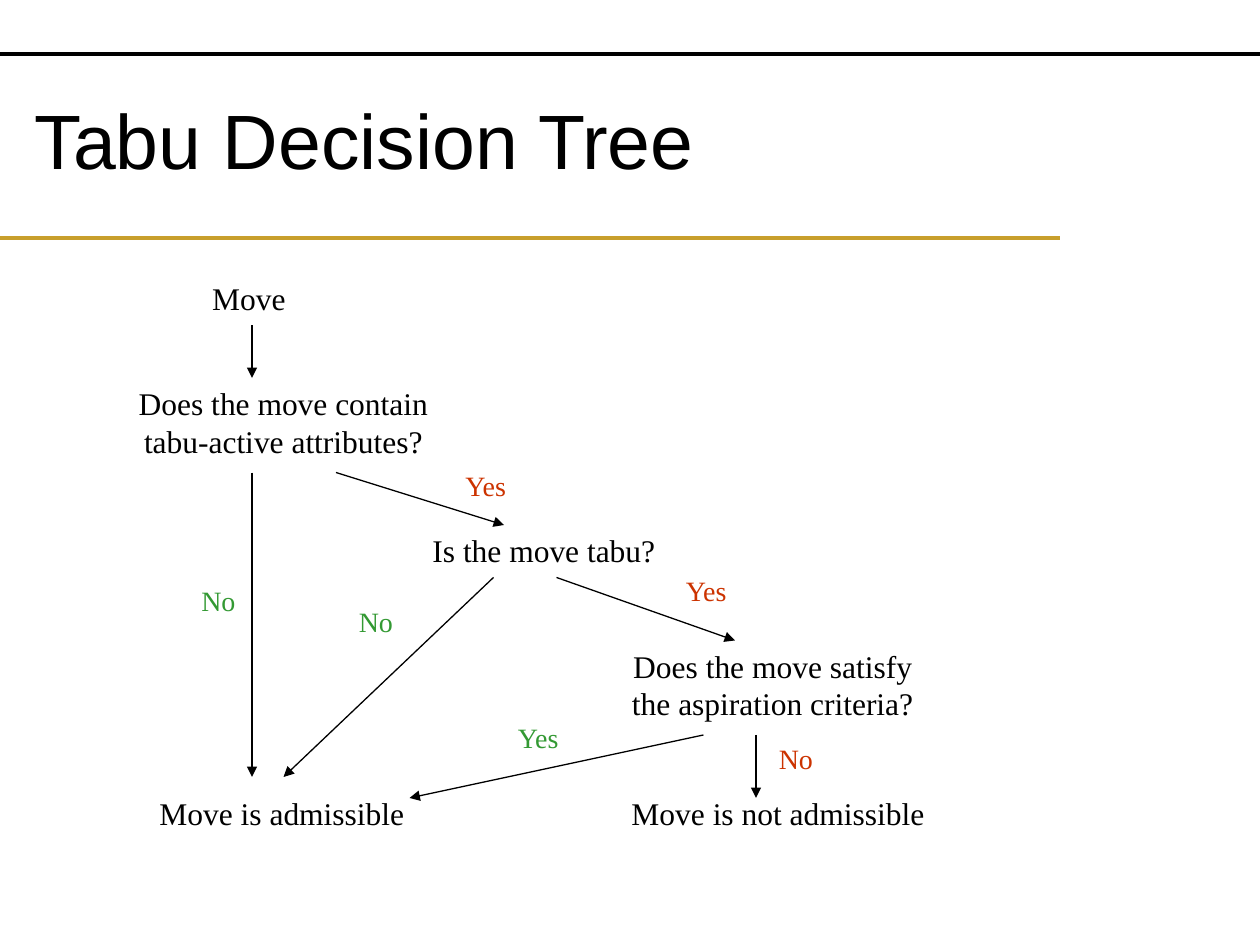
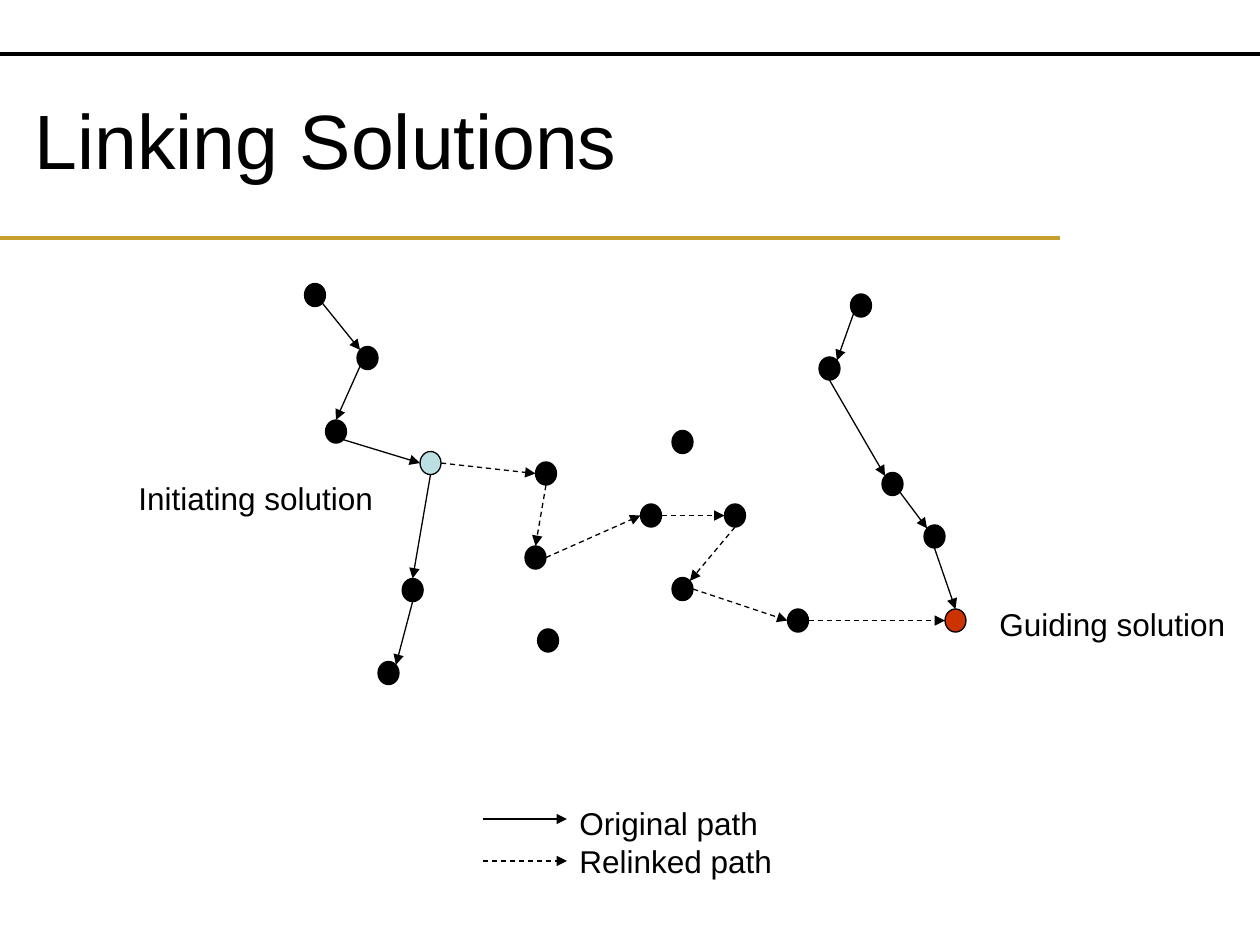
from dataclasses import dataclass
from math import cos, radians, sin

from lxml import etree
from pptx import Presentation
from pptx.dml.color import RGBColor
from pptx.enum.dml import MSO_LINE
from pptx.enum.shapes import MSO_CONNECTOR, MSO_SHAPE
from pptx.enum.text import MSO_AUTO_SIZE, PP_ALIGN
from pptx.oxml.ns import qn
from pptx.util import Inches, Pt

STRAIGHT = MSO_CONNECTOR.STRAIGHT
OVAL = MSO_SHAPE.OVAL
DASH = MSO_LINE.DASH
FIT_SHAPE = MSO_AUTO_SIZE.SHAPE_TO_FIT_TEXT
LEFT, CENTER = PP_ALIGN.LEFT, PP_ALIGN.CENTER

WIDTH, HEIGHT = Inches(10), Inches(7.5)
COLUMNS, ROWS = 120, 90
TITLE_ONLY = 5
SANS, SERIF = "Arial", "Times New Roman"
BLACK, GOLD, RED, GREEN, PALE_BLUE = "000000", "C89F2C", "CC3300", "339933", "BBE0E3"
NODE_WIDTH, NODE_HEIGHT = 2, 2.2
LABEL_SLACK = 0.8
SITE_ANGLES = {
    site: 45 * step
    for step, site in enumerate(["E", "NE", "N", "NW", "W", "SW", "S", "SE"])
}


@dataclass(frozen=True)
class Label:
    text: str
    column: float
    row: float
    columns: float
    rows: float = 4.8
    size: int = 18
    color: str = BLACK
    font: str = SERIF
    alignment: PP_ALIGN = CENTER


@dataclass(frozen=True)
class Arrow:
    start: tuple[float, float]
    end: tuple[float, float]
    dashed: bool = False


@dataclass(frozen=True)
class Node:
    column: float
    row: float
    color: str = BLACK

    def site(self, name: str) -> tuple[float, float]:
        angle = radians(SITE_ANGLES[name])
        return (
            self.column + NODE_WIDTH / 2 * (1 + cos(angle)),
            self.row + NODE_HEIGHT / 2 * (1 - sin(angle)),
        )


@dataclass(frozen=True)
class Link:
    start: str
    start_site: str
    end: str
    end_site: str
    dashed: bool = False


def answer(text: str, column: float, row: float, color: str) -> Label:
    columns = {"Yes": 6.5, "No": 5.6}[text]
    return Label(text, column, row, columns, 4.4, 16, color)


def caption(text: str, column: float, row: float, columns: float, rows: float = 4.8) -> Label:
    return Label(text, column, row, columns, rows, font=SANS, alignment=LEFT)


DECISION_LABELS = [
    Label("Move", 19, 26, 9.4),
    Label("Does the move contain\ntabu-active attributes?", 12, 36, 30, 8.4),
    Label("Is the move tabu?", 40, 50, 23.6),
    Label("Does the move satisfy\nthe aspiration criteria?", 59, 61, 29.2, 8.4),
    Label("Move is admissible", 14, 75, 25.7),
    Label("Move is not admissible", 59, 75, 30.2),
    answer("Yes", 43, 44, RED),
    answer("Yes", 64, 54, RED),
    answer("Yes", 48, 68, GREEN),
    answer("No", 73, 70, RED),
    answer("No", 33, 57, GREEN),
    answer("No", 18, 55, GREEN),
]
DECISION_ARROWS = [
    Arrow((24, 31), (24, 36)),
    Arrow((24, 45), (24, 74)),
    Arrow((32, 45), (48, 50)),
    Arrow((47, 55), (27, 74)),
    Arrow((53, 55), (70, 61)),
    Arrow((67, 70), (39, 76)),
    Arrow((72, 70), (72, 76)),
]

SOLUTIONS = {
    "left 1": Node(29, 27),
    "left 2": Node(34, 33),
    "left 3": Node(31, 40),
    "initiating": Node(40, 43, PALE_BLUE),
    "left 4": Node(38.3, 55.1),
    "left 5": Node(36, 63),
    "right 1": Node(81, 28),
    "right 2": Node(78, 34),
    "right 3": Node(84, 45),
    "right 4": Node(88, 50),
    "guiding": Node(90, 58, RED),
    "relinked 1": Node(51, 44),
    "relinked 2": Node(50, 52),
    "relinked 3": Node(61, 48),
    "relinked 4": Node(69, 48),
    "relinked 5": Node(64, 55),
    "relinked 6": Node(75, 58),
    "unvisited 1": Node(51.2, 59.9),
    "unvisited 2": Node(64, 41),
}
LINKS = [
    Link("left 1", "SE", "left 2", "NW"),
    Link("left 2", "SW", "left 3", "N"),
    Link("left 3", "SE", "initiating", "W"),
    Link("initiating", "S", "left 4", "N"),
    Link("left 4", "S", "left 5", "NE"),
    Link("right 1", "SW", "right 2", "NE"),
    Link("right 2", "S", "right 3", "NW"),
    Link("right 3", "SE", "right 4", "NW"),
    Link("right 4", "S", "guiding", "N"),
    Link("initiating", "E", "relinked 1", "W", True),
    Link("relinked 1", "S", "relinked 2", "N", True),
    Link("relinked 2", "E", "relinked 3", "W", True),
    Link("relinked 3", "E", "relinked 4", "W", True),
    Link("relinked 4", "S", "relinked 5", "NE", True),
    Link("relinked 5", "E", "relinked 6", "W", True),
    Link("relinked 6", "E", "guiding", "W", True),
]
SOLUTION_CAPTIONS = [
    caption("Initiating solution", 12, 45, 24.7),
    caption("Guiding solution", 94, 57, 23.9),
    caption("Original path\nRelinked path", 54, 76, 20.8, 8.4),
]
LEGEND_ARROWS = [Arrow((46, 78), (54, 78)), Arrow((46, 82), (54, 82), True)]


def across(columns: float) -> int:
    return round(WIDTH * columns / COLUMNS)


def down(rows: float) -> int:
    return round(HEIGHT * rows / ROWS)


def rgb(color: str) -> RGBColor:
    return RGBColor.from_string(color)


def apply_format(target, values: dict) -> None:
    for name, value in values.items():
        setattr(target, name, value)


def draw_line(slide, start: tuple, end: tuple, color: str = BLACK, width: float = 0.75):
    connector = slide.shapes.add_connector(
        STRAIGHT, across(start[0]), down(start[1]), across(end[0]), down(end[1])
    )
    connector.line.color.rgb = rgb(color)
    connector.line.width = Pt(width)
    etree.SubElement(connector.element.spPr, qn("a:effectLst"))
    return connector


def draw_arrow(slide, arrow: Arrow) -> None:
    connector = draw_line(slide, arrow.start, arrow.end)
    if arrow.dashed:
        connector.line.dash_style = DASH
    outline = connector.element.spPr.find(qn("a:ln"))
    etree.SubElement(outline, qn("a:tailEnd"), type="triangle")


def draw_label(slide, label: Label) -> None:
    shift = LABEL_SLACK / 2 if label.alignment == CENTER else 0
    box = slide.shapes.add_textbox(
        across(label.column - shift),
        down(label.row),
        across(label.columns + LABEL_SLACK),
        down(label.rows),
    )
    frame = box.text_frame
    apply_format(frame, {"text": label.text, "word_wrap": False, "auto_size": FIT_SHAPE})
    for paragraph in frame.paragraphs:
        paragraph.alignment = label.alignment
        apply_format(paragraph.runs[0].font, {"name": label.font, "size": Pt(label.size)})
        paragraph.runs[0].font.color.rgb = rgb(label.color)


def draw_node(slide, node: Node) -> None:
    shape = slide.shapes.add_shape(
        OVAL, across(node.column), down(node.row), across(NODE_WIDTH), down(NODE_HEIGHT)
    )
    shape.shadow.inherit = False
    shape.fill.solid()
    shape.fill.fore_color.rgb = rgb(node.color)
    shape.line.color.rgb = rgb(BLACK)
    shape.line.width = Pt(0.75)


def style_title(master) -> None:
    title = next(shape for shape in master.placeholders if shape.placeholder_format.idx == 0)
    apply_format(title, {
        "left": across(2.1), "top": down(5.7), "width": across(108), "height": down(15),
    })
    level = master.element.find(f".//{qn('p:titleStyle')}/{qn('a:lvl1pPr')}")
    level.set("algn", "l")
    level.find(f".//{qn('a:latin')}").set("typeface", SANS)


def add_master_rules(slide, master) -> None:
    rules = [
        draw_line(slide, (0, 22.67), (101, 22.67), GOLD, 2.25),
        draw_line(slide, (0, 5.15), (COLUMNS, 5.15), BLACK, 2.25),
    ]
    for number, rule in enumerate(rules, start=101):
        rule.element.nvCxnSpPr.cNvPr.set("id", str(number))
        master.element.cSld.spTree.append(rule.element)


def add_titled_slide(presentation, title: str):
    slide = presentation.slides.add_slide(presentation.slide_layouts[TITLE_ONLY])
    slide.shapes.title.text = title
    return slide


def build_decision_tree(slide) -> None:
    for label in DECISION_LABELS:
        draw_label(slide, label)
    for arrow in DECISION_ARROWS:
        draw_arrow(slide, arrow)


def build_linked_solutions(slide) -> None:
    for node in SOLUTIONS.values():
        draw_node(slide, node)
    for label in SOLUTION_CAPTIONS:
        draw_label(slide, label)
    path_arrows = [
        Arrow(
            SOLUTIONS[link.start].site(link.start_site),
            SOLUTIONS[link.end].site(link.end_site),
            link.dashed,
        )
        for link in LINKS
    ]
    for arrow in LEGEND_ARROWS + path_arrows:
        draw_arrow(slide, arrow)


def main() -> None:
    presentation = Presentation()
    apply_format(presentation, {"slide_width": WIDTH, "slide_height": HEIGHT})
    master = presentation.slide_master
    style_title(master)
    decision_slide = add_titled_slide(presentation, "Tabu Decision Tree")
    add_master_rules(decision_slide, master)
    build_decision_tree(decision_slide)
    build_linked_solutions(add_titled_slide(presentation, "Linking Solutions"))
    presentation.save("out.pptx")


if __name__ == "__main__":
    main()
